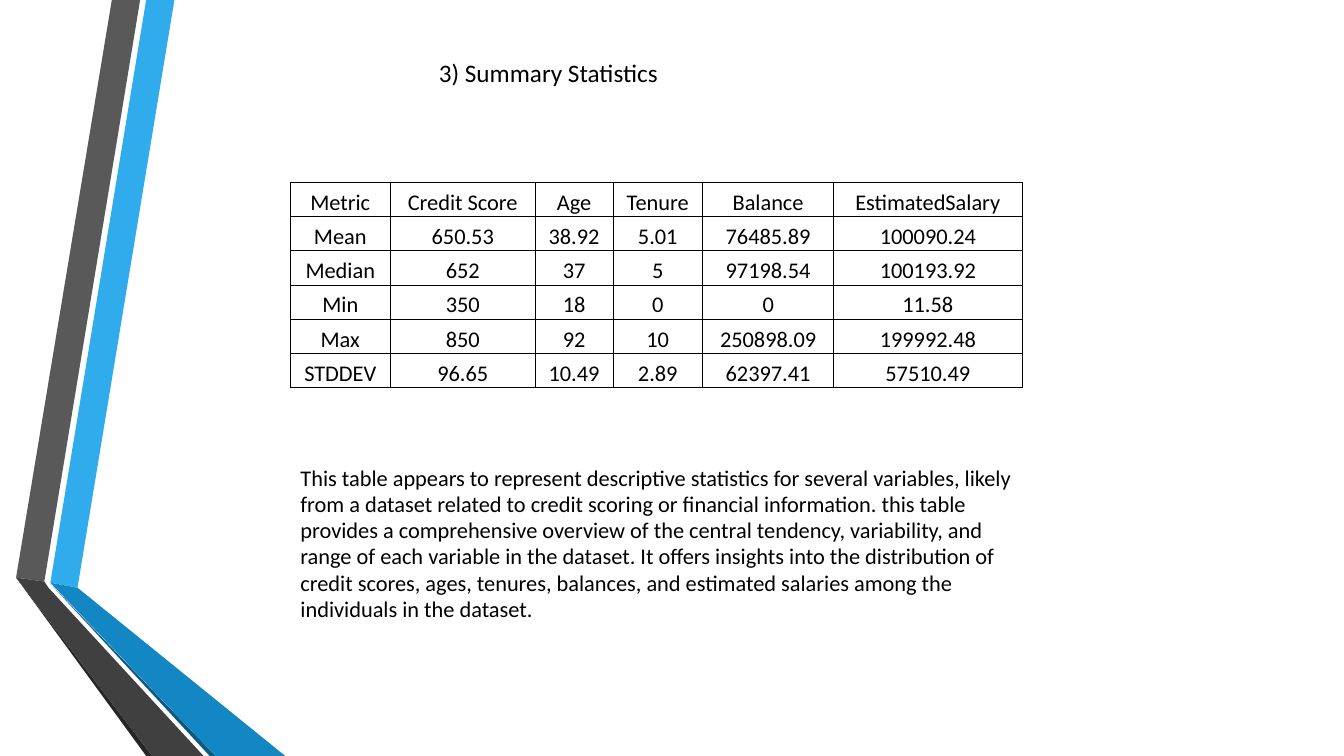
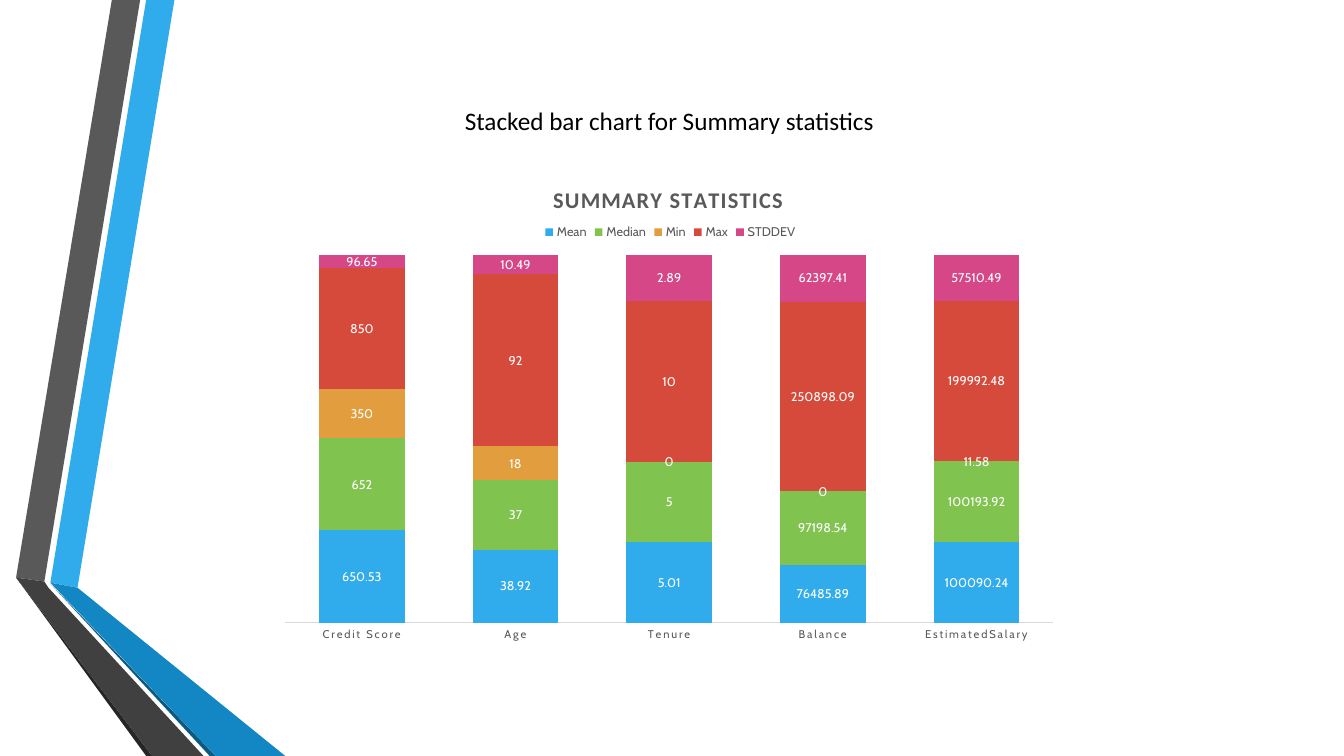
from lxml.etree import SubElement
from pptx import Presentation
from pptx.chart.data import CategoryChartData
from pptx.dml.color import RGBColor
from pptx.enum.chart import XL_CHART_TYPE, XL_LABEL_POSITION, XL_LEGEND_POSITION, XL_TICK_MARK
from pptx.enum.text import MSO_ANCHOR, MSO_AUTO_SIZE, PP_ALIGN
from pptx.oxml import parse_xml
from pptx.oxml.ns import nsdecls, qn
from pptx.util import Pt

BLACK = RGBColor(0x00, 0x00, 0x00)
WHITE = RGBColor(0xFF, 0xFF, 0xFF)
GRAY = RGBColor(0x59, 0x59, 0x59)
DARK_GRAY = RGBColor(0x40, 0x40, 0x40)
SHADOW_GRAY = RGBColor(0x26, 0x26, 0x26)
RULE_GRAY = RGBColor(0xD9, 0xD9, 0xD9)
BLUE = RGBColor(0x30, 0xAC, 0xEC)
DARK_BLUE = RGBColor(0x12, 0x87, 0xC3)
SHADOW_BLUE = RGBColor(0x0C, 0x5A, 0x82)
GREEN = RGBColor(0x80, 0xC3, 0x4F)
ORANGE = RGBColor(0xE2, 0x9D, 0x3E)
RED = RGBColor(0xD6, 0x4A, 0x3B)
PINK = RGBColor(0xD6, 0x47, 0x87)

BANDS = [
    (BLUE, [(36, 416.2), (55.4, 419.8), (124.6, 0), (104.4, 0)]),
    (GRAY, [(100.1, 0), (79.9, 0), (11.5, 412.6), (31.7, 415.4)]),
    (SHADOW_GRAY, [(11.5, 412.6), (104.4, 540), (108.7, 540)]),
    (SHADOW_BLUE, [(36, 416.9), (149.8, 540), (154.1, 540)]),
    (DARK_BLUE, [(36, 416.2), (154.1, 540), (203.8, 540), (55.4, 419.8)]),
    (DARK_GRAY, [(145.4, 540), (34.6, 419.8), (31.7, 415.4), (11.5, 412.6), (108.7, 540)]),
]
VARIABLES = ["Credit Score", "Age", "Tenure", "Balance", "EstimatedSalary"]
METRICS = [
    ("Mean", BLUE, [650.53, 38.92, 5.01, 76485.89, 100090.24]),
    ("Median", GREEN, [652, 37, 5, 97198.54, 100193.92]),
    ("Min", ORANGE, [350, 18, 0, 0, 11.58]),
    ("Max", RED, [850, 92, 10, 250898.09, 199992.48]),
    ("STDDEV", PINK, [96.65, 10.49, 2.89, 62397.41, 57510.49]),
]
COLUMN_WIDTHS = [71.3, 103.7, 55.4, 64.1, 93.6, 134.6]
ROW_HEIGHT = 24.4
TABLE_LEFT, TABLE_TOP, TABLE_WIDTH = 207.4, 130.3, sum(COLUMN_WIDTHS)

TITLE_FONT = {"name": "Calibri", "size": Pt(18), "bold": False}
TEXT_FONT = {"name": "Calibri", "size": Pt(16), "bold": False}
HEADING_FONT = {"name": "Calibri", "size": Pt(16), "bold": True}
LABEL_FONT = {"name": "Cabin", "size": Pt(9)}
AXIS_FONT = {"name": "Cabin", "size": Pt(8)}


def set_font(font, values, color):
    for name, value in values.items():
        setattr(font, name, value)
    font.color.rgb = color


def fill_placeholder(box, area, text, font, frame_format, para_format):
    box.left, box.top, box.width, box.height = [Pt(length) for length in area]
    frame = box.text_frame
    frame.text = text
    para = frame.paragraphs[0]
    for target, values in ((frame, frame_format), (para, para_format)):
        for name, value in values.items():
            setattr(target, name, value)
    set_font(para.runs[0].font, font, BLACK)


deck = Presentation()
deck.slide_width, deck.slide_height = Pt(960), Pt(540)
table_page = deck.slides.add_slide(deck.slide_layouts[1])
chart_page = deck.slides.add_slide(deck.slide_layouts[5])

# Bands are drawn once and moved to the master, behind its placeholders.
master_tree = deck.slide_master.shapes.element
for position, (color, points) in enumerate(BANDS, start=2):
    corners = [(Pt(x), Pt(y)) for x, y in points]
    outline = table_page.shapes.build_freeform(*corners[0])
    outline.add_line_segments(corners[1:], close=True)
    band = outline.convert_to_shape()
    band.shadow.inherit = False
    band.fill.solid()
    band.fill.fore_color.rgb = color
    band.line.fill.background()
    master_tree.insert(position, band.element)

# Titles
for page, left, top, text, anchor, bottom in (
    (table_page, 53.3, 0, "3) Summary Statistics", MSO_ANCHOR.BOTTOM, 8.6),
    (chart_page, 139.7, 50.4, "Stacked bar chart for Summary statistics", MSO_ANCHOR.MIDDLE, 3.6),
):
    fill_placeholder(
        page.shapes.title, (left, top, 676.8, 71.3), text, TITLE_FONT,
        {"vertical_anchor": anchor, "margin_bottom": Pt(bottom), "auto_size": MSO_AUTO_SIZE.NONE},
        {"alignment": PP_ALIGN.CENTER},
    )

# Table page
body = table_page.placeholders[1]
fill_placeholder(
    body, (TABLE_LEFT, 303.1, TABLE_WIDTH, 145.4),
    "This table appears to represent descriptive statistics for several variables, likely from a "
    "dataset related to credit scoring or financial information. this table provides a "
    "comprehensive overview of the central tendency, variability, and range of each variable in "
    "the dataset. It offers insights into the distribution of credit scores, ages, tenures, "
    "balances, and estimated salaries among the individuals in the dataset.",
    TEXT_FONT,
    {"vertical_anchor": MSO_ANCHOR.BOTTOM, "auto_size": MSO_AUTO_SIZE.NONE},
    {"alignment": PP_ALIGN.LEFT, "line_spacing": 0.98, "space_before": Pt(0)},
)
para_properties = body.text_frame.paragraphs[0]._p.get_or_add_pPr()
para_properties.set("marL", "0")
para_properties.set("indent", "0")
SubElement(para_properties, qn("a:buNone"))

rows = [["Metric", *VARIABLES]] + [[name, *values] for name, _, values in METRICS]
table = table_page.shapes.add_table(
    len(rows), len(COLUMN_WIDTHS), Pt(TABLE_LEFT), Pt(TABLE_TOP),
    Pt(TABLE_WIDTH), Pt(ROW_HEIGHT * len(rows)),
).table
table.first_row = table.horz_banding = False
for column, width in zip(table.columns, COLUMN_WIDTHS):
    column.width = Pt(width)
for row, values in zip(table.rows, rows):
    row.height = Pt(ROW_HEIGHT)
    for cell, value in zip(row.cells, values):
        cell.text = str(value)
        cell.vertical_anchor = MSO_ANCHOR.BOTTOM
        cell.margin_left = cell.margin_right = cell.margin_top = Pt(0.7)
        cell.margin_bottom = Pt(0)
        cell.fill.background()
        para = cell.text_frame.paragraphs[0]
        para.alignment = PP_ALIGN.CENTER
        set_font(para.runs[0].font, TEXT_FONT, BLACK)
        cell_properties = cell._tc.get_or_add_tcPr()
        for index, side in enumerate("LRTB"):
            cell_properties.insert(index, parse_xml(
                f'<a:ln{side} {nsdecls("a")} w="{Pt(0.5)}"><a:solidFill>'
                f'<a:srgbClr val="{BLACK}"/></a:solidFill></a:ln{side}>'
            ))

# Chart page
chart_data = CategoryChartData()
chart_data.categories = VARIABLES
for name, _, values in METRICS:
    chart_data.add_series(name, values)
chart = chart_page.shapes.add_chart(
    XL_CHART_TYPE.COLUMN_STACKED_100, Pt(192.2), Pt(115.2), Pt(571.7), Pt(350.6), chart_data
).chart
set_font(chart.font, {"name": "Cabin", "size": Pt(10)}, BLACK)

chart.has_title = True
chart.chart_title.include_in_layout = False
heading = chart.chart_title.text_frame
heading.text = "SUMMARY STATISTICS"
heading_span = heading.paragraphs[0].runs[0]
set_font(heading_span.font, HEADING_FONT, GRAY)

chart.has_legend = True
chart.legend.position = XL_LEGEND_POSITION.TOP
chart.legend.include_in_layout = False
set_font(chart.legend.font, LABEL_FONT, GRAY)

chart.value_axis.visible = False
chart.value_axis.has_major_gridlines = False
category_axis = chart.category_axis
category_axis.major_tick_mark = XL_TICK_MARK.NONE
category_axis.format.line.color.rgb = RULE_GRAY
category_axis.format.line.width = Pt(0.75)
set_font(category_axis.tick_labels.font, AXIS_FONT, GRAY)

plot = chart.plots[0]
plot.gap_width, plot.overlap, plot.vary_by_categories = 79, 100, False
for series, (_, color, _) in zip(plot.series, METRICS):
    series.format.fill.solid()
    series.format.fill.fore_color.rgb = color
    labels = series.data_labels
    labels.show_value = True
    labels.position = XL_LABEL_POSITION.CENTER
    set_font(labels.font, LABEL_FONT, WHITE)

# Letter spacing in hundredths of a point
for query, spacing in ((".//c:title//a:rPr", "100"), (".//c:catAx//a:defRPr", "120")):
    for properties in chart.element.xpath(query):
        properties.set("spc", spacing)

# Chart parts are placed as fractions of the chart area.
for tag, index, fractions in (
    ("title", 1, {"x": 0.35, "y": 0.04}),
    ("legend", 1, {"x": 0.34, "y": 0.12}),
    ("plotArea", 0, {"x": 0.02, "y": 0.19, "w": 0.96, "h": 0.75}),
):
    part = chart.element.xpath(f".//c:{tag}")[0]
    for old_layout in part.findall(qn("c:layout")):
        part.remove(old_layout)
    layout = parse_xml(f'<c:layout {nsdecls("c")}><c:manualLayout/></c:layout>')
    if tag == "plotArea":
        SubElement(layout[0], qn("c:layoutTarget"), val="inner")
    for key in "xy":
        SubElement(layout[0], qn(f"c:{key}Mode"), val="edge")
    for key, value in fractions.items():
        SubElement(layout[0], qn(f"c:{key}"), val=str(value))
    part.insert(index, layout)

deck.save("out.pptx")
